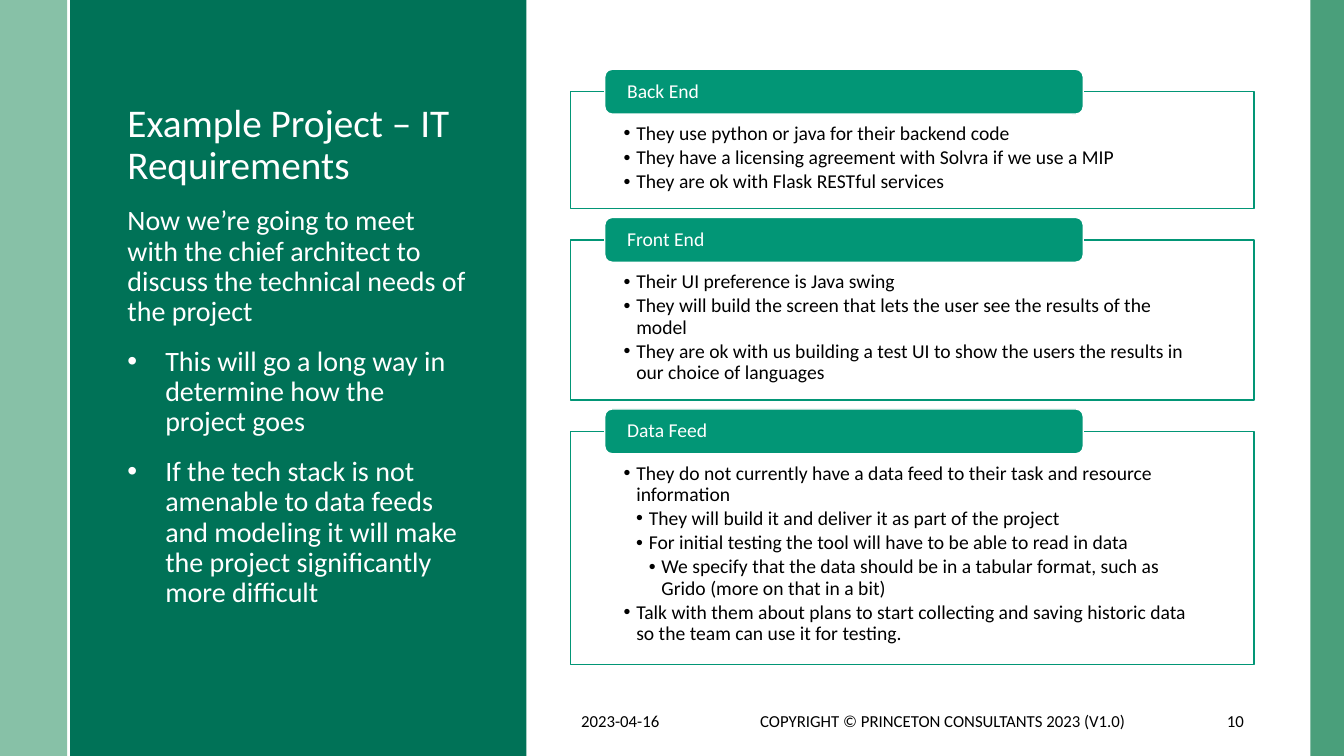
from lxml import etree
from pptx import Presentation
from pptx.dml.color import RGBColor
from pptx.enum.shapes import MSO_CONNECTOR, MSO_SHAPE
from pptx.enum.text import MSO_ANCHOR, PP_ALIGN
from pptx.oxml.ns import qn
from pptx.util import Pt

RECTANGLE, ROUNDED = MSO_SHAPE.RECTANGLE, MSO_SHAPE.ROUNDED_RECTANGLE
STRAIGHT = MSO_CONNECTOR.STRAIGHT
TOP, MIDDLE, BOTTOM = MSO_ANCHOR.TOP, MSO_ANCHOR.MIDDLE, MSO_ANCHOR.BOTTOM
LEFT, CENTER, RIGHT = PP_ALIGN.LEFT, PP_ALIGN.CENTER, PP_ALIGN.RIGHT

# Content: every paragraph is (bullet level, text), level 0 has no bullet
TITLE = [(0, "Example Project – IT Requirements")]
INTRODUCTION = [
    (0, "Now we’re going to meet with the chief architect to discuss the technical needs of the project"),
    (1, "This will go a long way in determine how the project goes"),
    (1, "If the tech stack is not amenable to data feeds and modeling it will make the project "
        "significantly more difficult"),
]
# Sections: heading, frame height, paragraphs
SECTIONS = [
    ("Back End", 83.5, [
        (1, "They use python or java for their backend code"),
        (1, "They have a licensing agreement with Solvra if we use a MIP"),
        (1, "They are ok with Flask RESTful services"),
    ]),
    ("Front End", 114.5, [
        (1, "Their UI preference is Java swing"),
        (1, "They will build the screen that lets the user see the results of the model"),
        (1, "They are ok with us building a test UI to show the users the results in "
            "our choice of languages"),
    ]),
    ("Data Feed", 166.4, [
        (1, "They do not currently have a data feed to their task and resource information"),
        (2, "They will build it and deliver it as part of the project"),
        (2, "For initial testing the tool will have to be able to read in data"),
        (3, "We specify that the data should be in a tabular format, such as "
            "Grido (more on that in a bit)"),
        (1, "Talk with them about plans to start collecting and saving historic data "
            "so the team can use it for testing."),
    ]),
]
# Footer: text, left, width, alignment
FOOTER = [
    ("2023-04-16", 408, 96, LEFT),
    ("COPYRIGHT © PRINCETON CONSULTANTS 2023 (V1.0)", 515.5, 316, CENTER),
    ("10", 847.5, 48, RIGHT),
]

THEME = {
    "font": "Calibri",
    "white": "FFFFFF", "black": "000000", "panel": "007257",
    "left band": "7BBB9E", "right band": "4A9F7B", "accent": "029676",
    "title": 28, "body": 20, "section": 14, "footer": 12,
}

# Layout in points
SLIDE_WIDTH, SLIDE_HEIGHT = 960, 540
PANEL_LEFT, PANEL_WIDTH = 49, 327
TEXT_LEFT, TEXT_WIDTH = 84, 259.2
FRAME_LEFT, FRAME_TOP, FRAME_WIDTH, FRAME_GAP = 407.6, 65.5, 488.3, 22.3
TAB_INDENT, TAB_WIDTH, TAB_HEIGHT = 24.4, 341.8, 32
DEFAULT_INSETS = (7.2, 3.6, 7.2, 3.6)


def color(name):
    return RGBColor.from_string(THEME[name])


def set_alpha(shape, percent):
    fill_color = shape.fill._xPr.find(qn("a:solidFill"))[0]
    etree.SubElement(fill_color, qn("a:alpha"), val=str(percent * 1000))


def add_block(kind, left, top, width, height, fill, line=None, alpha=100):
    shape = slide.shapes.add_shape(kind, Pt(left), Pt(top), Pt(width), Pt(height))
    shape.shadow.inherit = False
    shape.fill.solid()
    shape.fill.fore_color.rgb = color(fill)
    if alpha < 100:
        set_alpha(shape, alpha)
    if line:
        shape.line.color.rgb = color(line)
        shape.line.width = Pt(1)
    else:
        shape.line.fill.background()
    return shape


def add_bullet(paragraph, level, step):
    properties = paragraph._p.get_or_add_pPr()
    properties.set("marL", str(Pt(step * level)))
    properties.set("indent", str(-Pt(step)))
    etree.SubElement(properties, qn("a:buFont"), typeface="Arial")
    etree.SubElement(properties, qn("a:buChar"), char="•")


def write(shape, paragraphs, size, ink, anchor=TOP, insets=DEFAULT_INSETS, step=9,
          before=0, after=0, spacing=0.9, alignment=LEFT):
    frame = shape.text_frame
    left, top, right, bottom = map(Pt, insets)
    frame_format = {
        "word_wrap": True, "vertical_anchor": anchor, "margin_left": left,
        "margin_top": top, "margin_right": right, "margin_bottom": bottom,
    }
    for name, value in frame_format.items():
        setattr(frame, name, value)
    for index, (level, text) in enumerate(paragraphs):
        paragraph = frame.add_paragraph() if index else frame.paragraphs[0]
        if level:
            add_bullet(paragraph, level, step)
        paragraph_format = {
            "alignment": alignment, "line_spacing": spacing,
            "space_before": Pt(before if index else 0), "space_after": Pt(after),
        }
        for name, value in paragraph_format.items():
            setattr(paragraph, name, value)
        run = paragraph.add_run()
        run.text = text
        run.font.name = THEME["font"]
        run.font.size = Pt(THEME[size])
        run.font.color.rgb = color(ink)


def add_text(left, top, width, height, paragraphs, size, ink, **options):
    box = slide.shapes.add_textbox(Pt(left), Pt(top), Pt(width), Pt(height))
    write(box, paragraphs, size, ink, **options)


presentation = Presentation()
presentation.slide_width, presentation.slide_height = Pt(SLIDE_WIDTH), Pt(SLIDE_HEIGHT)
slide = presentation.slides.add_slide(presentation.slide_layouts[6])

# Side panel and edge bands
add_block(RECTANGLE, PANEL_LEFT, 0, PANEL_WIDTH, SLIDE_HEIGHT, "panel")
add_block(RECTANGLE, 0, 0, 48, SLIDE_HEIGHT, "left band", alpha=90)
divider = slide.shapes.add_connector(STRAIGHT, Pt(PANEL_LEFT), 0, Pt(PANEL_LEFT), Pt(SLIDE_HEIGHT))
divider.line.color.rgb = color("white")
divider.line.width = Pt(1.5)
etree.SubElement(divider._element.spPr, qn("a:effectLst"))
add_block(RECTANGLE, 936, 0, 24, SLIDE_HEIGHT, "right band")

# Title and introduction
add_text(TEXT_LEFT, 30, TEXT_WIDTH, 108, TITLE, "title", "white", anchor=BOTTOM)
add_text(TEXT_LEFT, 144, TEXT_WIDTH, 342, INTRODUCTION, "body", "white", step=27, before=14)

# Requirement sections: a frame with a heading tab centred on its top edge
top = FRAME_TOP
for heading, height, paragraphs in SECTIONS:
    frame_box = add_block(RECTANGLE, FRAME_LEFT, top, FRAME_WIDTH, height,
                          "white", "accent", alpha=90)
    write(frame_box, paragraphs, "section", "black", insets=(37.9, 22.9, 37.9, 7.9), after=2.1)
    tab = add_block(ROUNDED, FRAME_LEFT + TAB_INDENT, top - TAB_HEIGHT / 2,
                    TAB_WIDTH, TAB_HEIGHT, "accent", "white")
    write(tab, [(0, heading)], "section", "white", anchor=MIDDLE, insets=(14.4, 1.6, 14.4, 1.6))
    top += height + FRAME_GAP

# Footer
for text, left, width, alignment in FOOTER:
    add_text(left, 500.6, width, 28.8, [(0, text)], "footer", "black",
             anchor=MIDDLE, spacing=1.0, alignment=alignment)

presentation.save("out.pptx")
